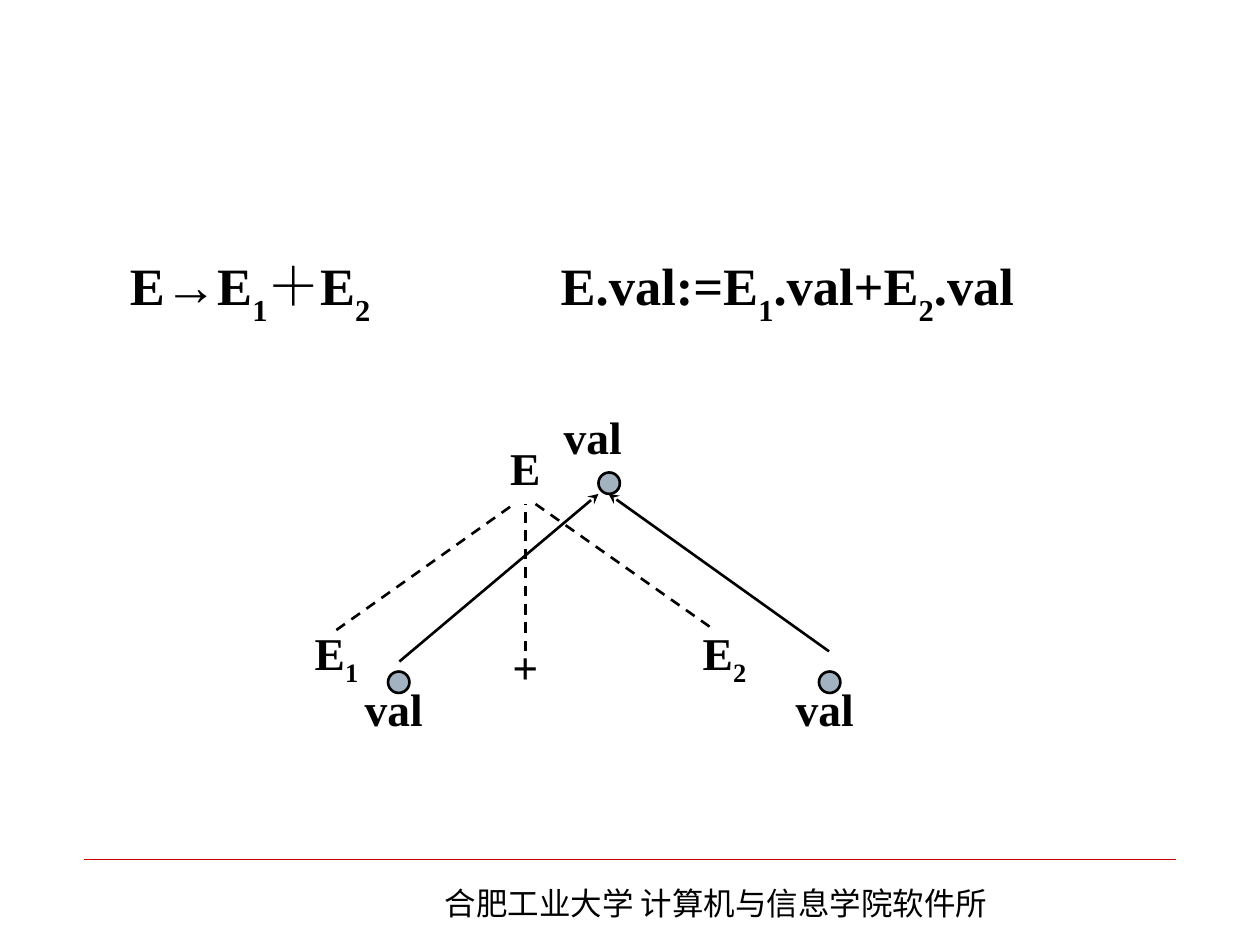
"""Draw the synthesized-attribute diagram for the production E→E1+E2."""
from dataclasses import dataclass

import pptx
import pptx.dml.color
import pptx.enum.dml
import pptx.enum.shapes
import pptx.enum.text
import pptx.oxml
import pptx.oxml.ns
import pptx.util

Inches = pptx.util.Inches
Pt = pptx.util.Pt
Color = pptx.dml.color.RGBColor
qn = pptx.oxml.ns.qn
Anchor = pptx.enum.text.MSO_ANCHOR
Align = pptx.enum.text.PP_ALIGN


@dataclass(frozen=True)
class Theme:
    ink: Color = Color(0x00, 0x00, 0x00)
    node: Color = Color(0xA3, 0xB2, 0xC1)
    rule: Color = Color(0xCC, 0x00, 0x00)
    latin: str = "Times New Roman"
    chinese: str = "Noto Sans CJK SC"
    formula_size: float = 30
    label_size: float = 26
    footer_size: float = 18
    line_width: float = 1.5
    rule_width: float = 0.25


@dataclass(frozen=True)
class Span:
    text: str
    baseline: int = 0


@dataclass(frozen=True)
class Label:
    left: float
    top: float
    width: float
    spans: tuple[Span, ...]


@dataclass(frozen=True)
class Edge:
    start: tuple[float, float]
    end: tuple[float, float]
    dashed: bool


THEME = Theme()
LABEL_HEIGHT = 0.58
NODE_SIZE = 0.17
VAL_WIDTH = 0.75
FORMULA_TAB = 3.42

FORMULA = (
    Span("E→E"), Span("1", -30), Span("＋E"), Span("2", -30),
    Span("\tE.val:=E"), Span("1", -30), Span(".val+E"), Span("2", -30), Span(".val"),
)
SYMBOLS = (
    Label(1.42, 4.92, 2.5, (Span("E"), Span("1", -25))),
    Label(3.67, 5, 1, (Span("+"),)),
    Label(4.5, 4.92, 2.5, (Span("E"), Span("2", -25))),
    Label(3.17, 3.42, 2, (Span("E"),)),
)
VALUES = tuple(
    Label(left, top, VAL_WIDTH, (Span("val"),))
    for left, top in ((4.33, 3.17), (2.75, 5.33), (6.17, 5.33))
)
TREE = (
    Edge((2.67, 5), (4.08, 4), True),
    Edge((4.17, 5.17), (4.17, 4), True),
    Edge((4.25, 4), (5.67, 5), True),
)
FLOW = (
    Edge((3.17, 5.25), (4.75, 3.92), False),
    Edge((6.58, 5.17), (4.83, 3.92), False),
)
NODES = ((3.08, 5.33), (6.5, 5.33), (4.75, 3.75))


def add_text(page, label: Label, height: float, size: float, face: str, bold: bool):
    """Add a text box holding one paragraph and return the box."""
    box = page.shapes.add_textbox(
        Inches(label.left), Inches(label.top), Inches(label.width), Inches(height))
    para = box.text_frame.paragraphs[0]
    for span in label.spans:
        run = para.add_run()
        run.text = span.text
        if span.baseline:
            run.font._element.set("baseline", str(span.baseline * 1000))
        run.font._element.get_or_add_latin().set("typeface", face)
        pptx.oxml.ns.qn
        east = run.font._element.makeelement(qn("a:ea"), {"typeface": face})
        run.font._element.append(east)
    para.font.size = Pt(size)
    para.font.name = face
    para.font.bold = bold
    para.font.color.rgb = THEME.ink
    return box


def add_label(page, label: Label) -> None:
    """Add a centred symbol or attribute name."""
    box = add_text(page, label, LABEL_HEIGHT, THEME.label_size, THEME.latin, True)
    box.text_frame.word_wrap = False
    box.text_frame.vertical_anchor = Anchor.MIDDLE
    box.text_frame.paragraphs[0].alignment = Align.CENTER


def add_formula(page) -> None:
    """Add the production and its semantic rule, parted by a tab stop."""
    label = Label(0.83, 2, 8.75, FORMULA)
    box = add_text(page, label, LABEL_HEIGHT, THEME.formula_size, THEME.latin, True)
    box.text_frame.word_wrap = True
    box.text_frame.margin_left = Inches(0.2)
    para = box.text_frame.paragraphs[0]
    para.line_spacing = 0.8
    settings = para._p.get_or_add_pPr()
    tabs = settings.makeelement(qn("a:tabLst"), {})
    tabs.append(tabs.makeelement(
        qn("a:tab"), {"pos": str(Inches(FORMULA_TAB)), "algn": "l"}))
    settings.find(qn("a:defRPr")).addprevious(tabs)


def add_line(page, edge: Edge, color: Color, width: float):
    """Add a straight line without a shadow and return it."""
    line = page.shapes.add_connector(
        pptx.enum.shapes.MSO_CONNECTOR.STRAIGHT,
        *(Inches(value) for value in edge.start + edge.end))
    line.line.color.rgb = color
    line.line.width = Pt(width)
    if edge.dashed:
        line.line.dash_style = pptx.enum.dml.MSO_LINE.DASH
    properties = line._element.spPr
    properties.append(properties.makeelement(qn("a:effectLst"), {}))
    return line


def add_arrow(page, edge: Edge) -> None:
    """Add a line with a stealth head at its end."""
    outline = add_line(page, edge, THEME.ink, THEME.line_width).line._get_or_add_ln()
    outline.append(outline.makeelement(qn("a:tailEnd"), {"type": "stealth"}))


def add_node(page, left: float, top: float) -> None:
    """Add the dot that stands for an attribute."""
    node = page.shapes.add_shape(
        pptx.enum.shapes.MSO_SHAPE.OVAL,
        Inches(left), Inches(top), Inches(NODE_SIZE), Inches(NODE_SIZE))
    node.shadow.inherit = False
    node.fill.solid()
    node.fill.fore_color.rgb = THEME.node
    node.line.color.rgb = THEME.ink
    node.line.width = Pt(THEME.line_width)


def add_footer(page) -> None:
    """Add the rule and the institute name at the foot of the page."""
    add_line(page, Edge((0.67, 6.82), (9.33, 6.82), False), THEME.rule, THEME.rule_width)
    label = Label(3.43, 6.97, 5.2, (Span("合肥工业大学 计算机与信息学院软件所"),))
    box = add_text(page, label, 0.4, THEME.footer_size, THEME.chinese, False)
    box.text_frame.word_wrap = True


def main() -> None:
    """Build the page and save the deck."""
    deck = pptx.Presentation()
    deck.slide_width, deck.slide_height = Inches(10), Inches(7.5)
    page = deck.slides.add_slide(deck.slide_layouts.get_by_name("Blank"))
    add_footer(page)
    add_formula(page)
    for label in SYMBOLS + VALUES:
        add_label(page, label)
    for edge in TREE:
        add_line(page, edge, THEME.ink, THEME.line_width)
    for edge in FLOW:
        add_arrow(page, edge)
    for left, top in NODES:
        add_node(page, left, top)
    deck.save("out.pptx")


if __name__ == "__main__":
    main()
